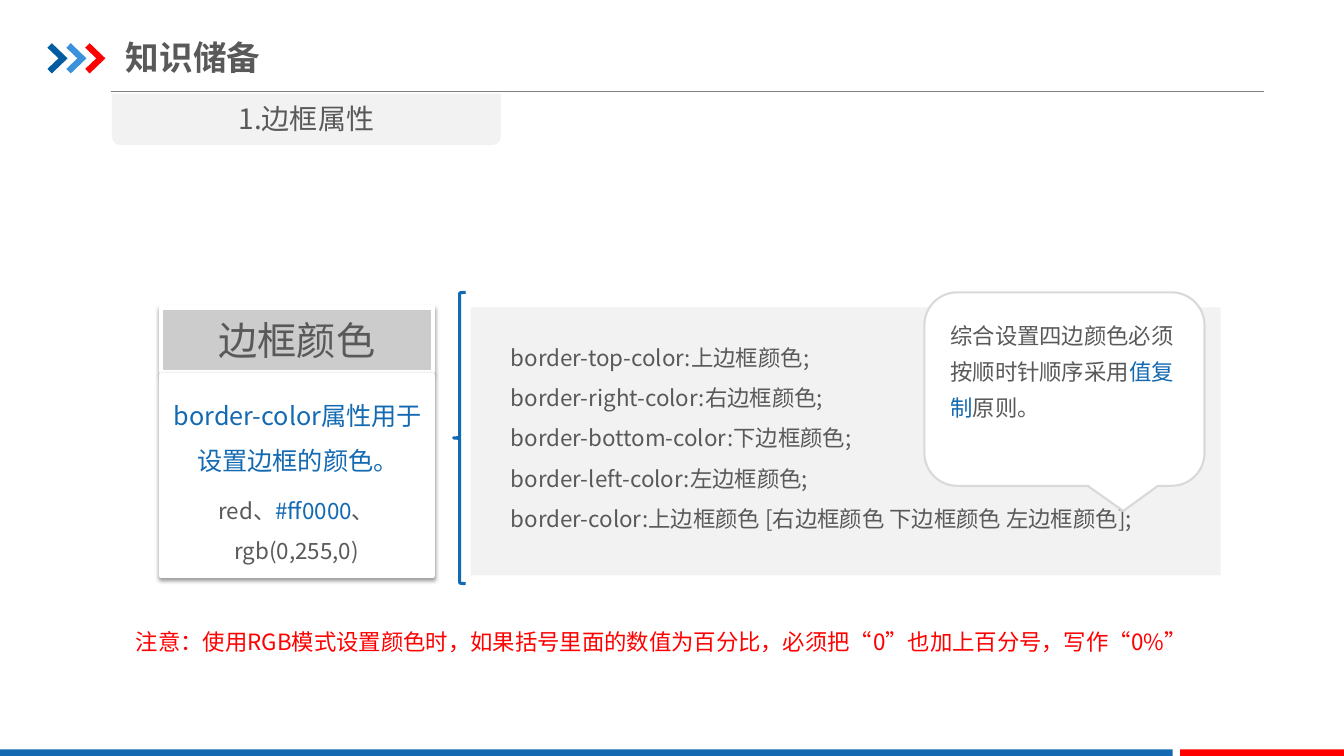
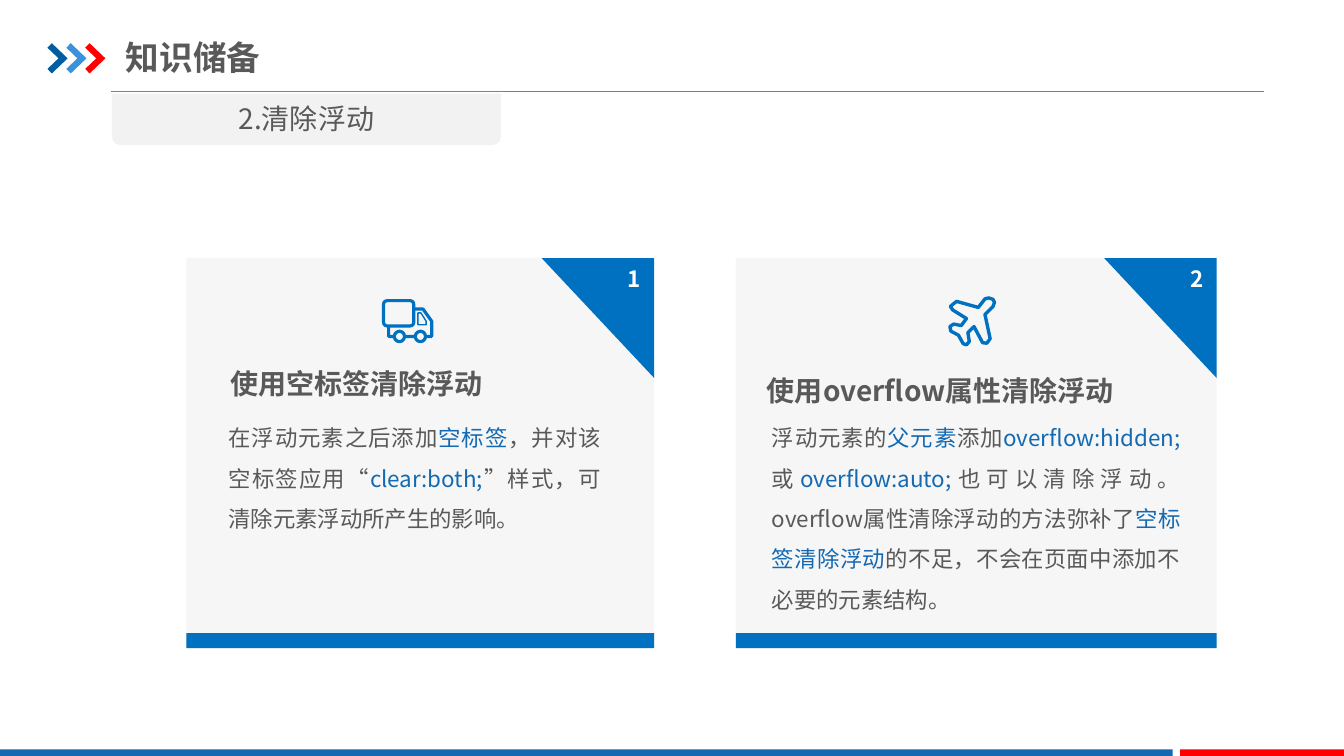
from dataclasses import dataclass

from lxml.etree import SubElement
from pptx import Presentation
from pptx.dml.color import RGBColor
from pptx.enum.shapes import MSO_CONNECTOR, MSO_SHAPE
from pptx.enum.text import MSO_ANCHOR, PP_ALIGN
from pptx.oxml.ns import qn
from pptx.util import Inches, Pt

COLORS = {
    "text": "595959", "accent": "1369B2", "card": "0070C0", "red": "FF0000",
    "white": "FFFFFF", "panel": "F2F2F2", "paper": "F6F6F6", "header": "CCCCCC",
    "outline": "D9D9D9", "rule": "808080", "navy": "005DA2", "sky": "3992DB",
}
FONT = "Noto Sans CJK SC"
COLUMNS, ROWS = 160, 90
SLIDE_WIDTH, SLIDE_HEIGHT = Inches(13.33), Inches(7.5)

CHEVRON = [(0, 0.15), (0.22, 0), (1, 0.5), (0.22, 1), (0, 0.85), (0.55, 0.5)]
CORNER = [(1, 0), (0, 0), (1, 1)]
TRUCK_CHASSIS = [(0.13, 0.62), (0.13, 0.85), (0.97, 0.85), (0.97, 0.5), (0.8, 0.22), (0.62, 0.22)]
TRUCK_WINDOW = [(0.7, 0.31), (0.76, 0.31), (0.86, 0.5), (0.86, 0.58), (0.7, 0.58)]
PLANE = [
    (0.94, 0.06), (0.85, 0.03), (0.77, 0.05), (0.63, 0.22), (0.17, 0.1), (0.04, 0.2),
    (0.09, 0.27), (0.38, 0.44), (0.27, 0.58), (0.11, 0.55), (0.03, 0.6), (0.05, 0.69),
    (0.21, 0.77), (0.31, 0.94), (0.38, 0.96), (0.44, 0.9), (0.41, 0.72), (0.54, 0.6),
    (0.72, 0.92), (0.81, 0.93), (0.88, 0.84), (0.77, 0.36), (0.94, 0.2), (0.97, 0.12),
]


@dataclass
class Box:
    left: float
    top: float
    width: float
    height: float

    def inner(self, column, row, width, height):
        return Box(self.left + column, self.top + row, width, height)

    def share(self, x, y, width, height):
        return self.inner(x * self.width, y * self.height, width * self.width, height * self.height)

    def lengths(self):
        return (across(self.left), down(self.top), across(self.width), down(self.height))


def across(columns):
    return round(SLIDE_WIDTH * columns / COLUMNS)


def down(rows):
    return round(SLIDE_HEIGHT * rows / ROWS)


def color(name):
    return RGBColor.from_string(COLORS[name])


def style(shape, fill=None, line=None, line_width=1):
    shape.shadow.inherit = False
    if fill:
        shape.fill.solid()
        shape.fill.fore_color.rgb = color(fill)
    else:
        shape.fill.background()
    if line:
        shape.line.color.rgb = color(line)
        shape.line.width = Pt(line_width)
    else:
        shape.line.fill.background()
    return shape


def add_preset(slide, kind, box, adjustments=(), **look):
    shape = slide.shapes.add_shape(kind, *box.lengths())
    for index, value in enumerate(adjustments):
        shape.adjustments[index] = value
    return style(shape, **look)


def add_outline(slide, box, points, closed=True, **look):
    corners = [(across(box.left + x * box.width), down(box.top + y * box.height)) for x, y in points]
    builder = slide.shapes.build_freeform(*corners[0])
    builder.add_line_segments(corners[1:], close=closed)
    return style(builder.convert_to_shape(), **look)


def write(shape, *lines, size=16, ink="text", bold=False, align=PP_ALIGN.LEFT, spacing=None, **frame_values):
    frame = shape.text_frame
    for name, value in {"word_wrap": True, "vertical_anchor": MSO_ANCHOR.TOP, **frame_values}.items():
        setattr(frame, name, value)
    for index, line in enumerate(lines):
        paragraph = frame.paragraphs[0] if index == 0 else frame.add_paragraph()
        for name, value in {"alignment": align, "line_spacing": spacing}.items():
            setattr(paragraph, name, value)
        for position, piece in enumerate(line.split("|")):
            run = paragraph.add_run()
            run.text = piece
            for name, value in {"name": FONT, "size": Pt(size), "bold": bold}.items():
                setattr(run.font, name, value)
            run.font.color.rgb = color("accent" if position % 2 else ink)
            SubElement(run.font._element, qn("a:ea"), typeface=FONT)


def add_text(slide, box, *lines, **values):
    write(slide.shapes.add_textbox(*box.lengths()), *lines, **values)


def add_shadow(shape):
    effects = shape._element.spPr.find(qn("a:effectLst"))
    shadow = SubElement(effects, qn("a:outerShdw"), blurRad=str(Pt(3.1)), dist=str(Pt(1.6)),
                        dir="5400000", algn="t", rotWithShape="0")
    tone = SubElement(shadow, qn("a:srgbClr"), val="000000")
    SubElement(tone, qn("a:alpha"), val="38000")


def add_frame(slide, section):
    rule = slide.shapes.add_connector(MSO_CONNECTOR.STRAIGHT, across(13.2), down(10.95), across(150.5), down(10.95))
    rule.line.color.rgb = color("rule")
    rule.line.width = Pt(0.75)
    SubElement(rule._element.spPr, qn("a:effectLst"))
    for index, fill in enumerate(("navy", "sky", "red")):
        add_outline(slide, Box(5.65 + 2.25 * index, 5.15, 2.4, 3.6), CHEVRON, fill=fill)
    for left, width, fill in ((0, 139.6, "accent"), (140.5, 19.5, "red")):
        add_preset(slide, MSO_SHAPE.RECTANGLE, Box(left, 89.2, width, 0.8), fill=fill)
    add_text(slide, Box(15, 3.5, 51.1, 6.6), "知识储备", size=24, bold=True,
             vertical_anchor=MSO_ANCHOR.MIDDLE, margin_left=0, margin_right=0)
    tab = add_preset(slide, MSO_SHAPE.ROUND_2_SAME_RECTANGLE, Box(13.32, 11.16, 46.32, 6.12),
                     (0, 0.17), fill="panel")
    write(tab, section, size=20, align=PP_ALIGN.CENTER, vertical_anchor=MSO_ANCHOR.MIDDLE)


def add_property_card(slide, box):
    header = add_preset(slide, MSO_SHAPE.RECTANGLE, box.inner(0, 0, box.width, 7.68),
                        fill="header", line="white", line_width=3)
    write(header, "边框颜色", size=28, align=PP_ALIGN.CENTER, vertical_anchor=MSO_ANCHOR.MIDDLE)
    body = add_preset(slide, MSO_SHAPE.RECTANGLE, box.inner(0, 8.04, box.width, box.height - 8.04),
                      fill="white", line="white", line_width=3)
    for part in (header, body):
        add_shadow(part)
    centred = {"align": PP_ALIGN.CENTER, "spacing": 1.5}
    add_text(slide, box.inner(0, 8.64, 32.64, 11.52), "border-color属性用于设置边框的颜色。",
             size=18, ink="accent", **centred)
    add_text(slide, box.inner(0, 20.4, 32.28, 10.32), "red、|#ff0000|、rgb(0,255,0)", **centred)


def add_syntax_panel(slide, box):
    add_preset(slide, MSO_SHAPE.RECTANGLE, box, fill="panel")
    sides = (("top", "上"), ("right", "右"), ("bottom", "下"), ("left", "左"))
    add_text(slide, box.inner(3.6, 2.16, 78.12, 24.84),
             *(f"border-{side}-color:{name}边框颜色;" for side, name in sides),
             "border-color:上边框颜色 [右边框颜色 下边框颜色 左边框颜色];", spacing=1.5)


def add_callout(slide, box):
    add_preset(slide, MSO_SHAPE.ROUNDED_RECTANGULAR_CALLOUT, box, (0.21, 0.63, 0.17),
               fill="white", line="outline", line_width=1.5)
    add_text(slide, box.inner(1.92, 1.8, 31.44, 13.8),
             "综合设置四边颜色必须按顺时针顺序采用|值复制|原则。", spacing=1.35)


def add_truck(slide, box):
    stroke = {"line": "card", "line_width": 2.25}
    add_outline(slide, box, TRUCK_CHASSIS, closed=False, **stroke)
    add_preset(slide, MSO_SHAPE.ROUNDED_RECTANGLE, box.share(0.03, 0.03, 0.59, 0.58), (0.14,), **stroke)
    add_outline(slide, box, TRUCK_WINDOW, line="card", line_width=1)
    for centre in (0.34, 0.75):
        add_preset(slide, MSO_SHAPE.OVAL, box.share(centre - 0.1, 0.73, 0.2, 0.24), fill="paper", **stroke)


def add_plane(slide, box):
    add_outline(slide, box, PLANE, line="card", line_width=2.4)


def add_method_card(slide, box, number, heading, heading_box, heading_values, body, body_box):
    add_preset(slide, MSO_SHAPE.SNIP_1_RECTANGLE, box, (0.29,), fill="paper")
    add_preset(slide, MSO_SHAPE.RECTANGLE, box.inner(0, box.height - 1.8, box.width, 1.8), fill="card")
    corner = add_outline(slide, box.inner(box.width - 13.4, 0, 13.4, 14.28), CORNER, fill="card")
    write(corner, number, ink="white", bold=True, align=PP_ALIGN.RIGHT,
          margin_left=Inches(0.13), margin_right=Inches(0.13),
          margin_top=Inches(0.07), margin_bottom=Inches(0.07))
    add_text(slide, box.inner(*heading_box), heading, size=20, bold=True, **heading_values)
    add_text(slide, box.inner(*body_box), body, align=PP_ALIGN.JUSTIFY, spacing=1.5)


def build_border_slide(slide):
    add_frame(slide, "1.边框属性")
    add_property_card(slide, Box(19.15, 36.6, 32.4, 31.92))
    add_preset(slide, MSO_SHAPE.LEFT_BRACE, Box(54, 34.8, 1.44, 34.68), (0.08, 0.5),
               line="accent", line_width=2.25)
    add_syntax_panel(slide, Box(56.04, 36.6, 89.28, 31.92))
    add_callout(slide, Box(110.04, 34.8, 33.36, 23.04))
    add_text(slide, Box(15, 72.6, 133.92, 5.52),
             "注意：使用RGB模式设置颜色时，如果括号里面的数值为百分比，必须把“0”也加上百分号，写作“0%”",
             ink="red", spacing=1.5)


def build_float_slide(slide):
    add_frame(slide, "2.清除浮动")
    tag_card = Box(22.2, 30.72, 55.68, 46.44)
    overflow_card = Box(87.6, 30.72, 57.24, 46.44)
    add_method_card(
        slide, tag_card, "1",
        "使用空标签清除浮动", (3.84, 12.36, 32.88, 5.28), {"align": PP_ALIGN.CENTER},
        "在浮动元素之后添加|空标签|，并对该空标签应用“|clear:both;|”样式，可清除元素浮动所产生的影响。",
        (3.84, 17.64, 46.68, 15.24))
    add_method_card(
        slide, overflow_card, "2",
        "使用overflow属性清除浮动", (2.52, 11.16, 52.68, 6.6), {"spacing": 1.5},
        "浮动元素的|父元素|添加|overflow:hidden;|或|overflow:auto;|也可以清除浮动。"
        "overflow属性清除浮动的方法弥补了|空标签清除浮动|的不足，不会在页面中添加不必要的元素结构。",
        (3.12, 17.64, 51, 25.44))
    add_truck(slide, tag_card.inner(23.28, 4.92, 6.1, 5.2))
    add_plane(slide, overflow_card.inner(25.32, 4.56, 5.64, 6))


def main():
    presentation = Presentation()
    presentation.slide_width, presentation.slide_height = SLIDE_WIDTH, SLIDE_HEIGHT
    for build in (build_border_slide, build_float_slide):
        build(presentation.slides.add_slide(presentation.slide_layouts[6]))
    presentation.save("out.pptx")


if __name__ == "__main__":
    main()
